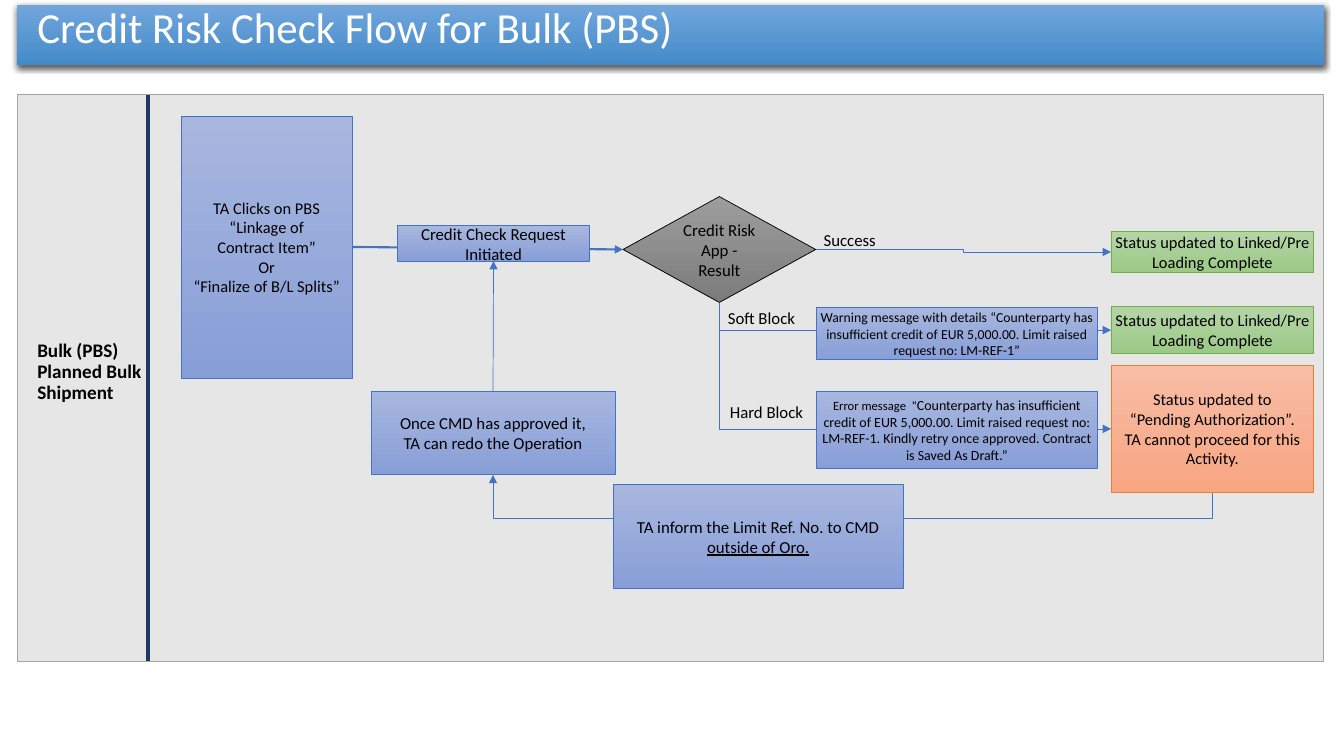
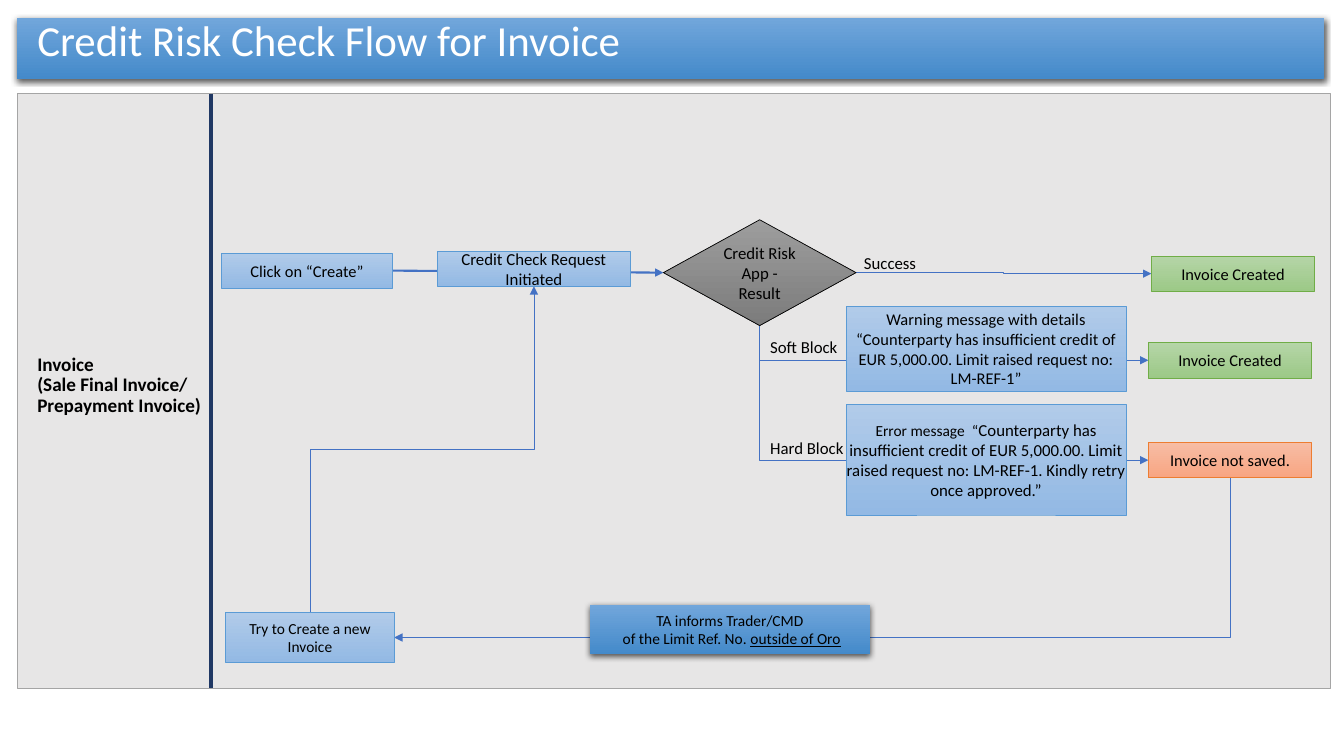
"""Build two credit risk check flow slides, placed on a grid of tenth-inch cells."""
from pptx import Presentation
from pptx.dml.color import RGBColor
from pptx.enum.shapes import MSO_CONNECTOR as LINK, MSO_SHAPE as SHAPE
from pptx.enum.text import MSO_ANCHOR as ANCHOR, PP_ALIGN as ALIGN
from pptx.oxml import parse_xml
from pptx.oxml.ns import nsdecls, qn
from pptx.util import Inches, Pt

CELL = Inches(0.1)
FONT = "Calibri"
BLUE, NAVY = "4472C4", "203864"
LOOKS = {
    "title": ("71A6DB", "448ACA", None),
    "panel": ("E7E6E6", "E7E6E6", "A5A5A5"),
    "step": ("A8B7DF", "889ED7", BLUE),
    "sky": ("B1CBE9", "93B9E4", "5B9BD5"),
    "good": ("B5D5A7", "9CC987", "70AD47"),
    "bad": ("F7BDA5", "F8A582", "ED7D31"),
    "test": ("9D9D9D", "7C7C7C", "000000"),
    "note": ("71A6DB", "448ACA", None),
}
SHADE = (
    f'<a:outerShdw {nsdecls("a")} blurRad="57150" dist="19050" dir="5400000" '
    'algn="ctr" rotWithShape="0"><a:srgbClr val="000000">'
    '<a:alpha val="63000"/></a:srgbClr></a:outerShdw>'
)
TOP, LEFT, BASE, RIGHT = range(4)

WARN = ("Warning message with details “Counterparty has insufficient credit of "
        "EUR 5,000.00. Limit raised request no: LM-REF-1”")
ERROR = ("~Error message  “|Counterparty has insufficient credit of EUR 5,000.00. "
         "Limit raised request no: LM-REF-1. Kindly retry once approved.")
LINKED = "Status updated to Linked/Pre Loading Complete"
CHECK = "Credit Check Request Initiated"
TEST = "Credit Risk App - Result"

PAGES = [
    {
        "title": ("Credit Risk Check Flow for Bulk (PBS)", 0.5),
        "panel": ("Bulk (PBS)\nPlanned Bulk\nShipment", (1.7, 9.4, 129.6, 56.2)),
        "bar": 14.7,
        "boxes": {
            "start": ("step", (18, 11.5, 16.9, 26), 11.7,
                      "TA Clicks on PBS\n“Linkage of\nContract Item”\nOr\n“Finalize of B/L Splits”"),
            "check": ("step", (39.4, 22.4, 19.1, 3.5), 12, CHECK),
            "test": ("test", (61.8, 19.5, 19.1, 10.5), 12, TEST),
            "done": ("good", (110.2, 23, 20.1, 4), 11.7, LINKED),
            "soft": ("good", (110.2, 30.4, 20.1, 4.7), 11.7, LINKED),
            "hard": ("bad", (110.2, 36.2, 20.1, 12.7), 11.7,
                     "Status updated to\n“Pending Authorization”.\n"
                     "TA cannot proceed for this Activity."),
            "redo": ("step", (36.8, 38.8, 24.2, 8.3), 12,
                     "Once CMD has approved it,\nTA can redo the Operation"),
            "tell": ("step", (60.8, 48.1, 28.8, 10.3), 12,
                     "TA inform the Limit Ref. No. to CMD |_outside of Oro."),
            "warn": ("step", (81, 30.5, 27.8, 5.2), 9.8, WARN),
            "error": ("step", (81, 38.8, 27.8, 7.7), 10,
                      ERROR + " Contract is Saved As Draft.”"),
        },
        "tags": {"Success": (80.7, 22.3), "Soft Block": (71.2, 30), "Hard Block": (71.4, 39.4)},
        "back": [
            ("hard", BASE, "redo", BASE, "bentConnector3", 90, "H", -140100),
            ("redo", TOP, "check", BASE, "line", 0, "", None),
        ],
    },
    {
        "title": ("Credit Risk Check Flow for Invoice", 1.8),
        "panel": ("Invoice\n(Sale Final Invoice/\nPrepayment Invoice)", (1.7, 9.3, 130.3, 59)),
        "bar": 20.9,
        "boxes": {
            "start": ("sky", (22, 25.1, 16.9, 3.5), 11.7, "Click on “Create”"),
            "check": ("sky", (43.4, 24.9, 19.1, 3.5), 12, CHECK),
            "test": ("test", (65.8, 21.8, 19.1, 10.5), 12, TEST),
            "done": ("good", (114.2, 25.4, 16.2, 3.5), 11.7, "Invoice Created"),
            "soft": ("good", (113.9, 34, 16.2, 3.5), 11.7, "Invoice Created"),
            "hard": ("bad", (113.9, 43.9, 16.2, 3.5), 11.7, "Invoice not saved."),
            "warn": ("sky", (83.9, 30.4, 27.8, 8.4), 11.7, WARN),
            "error": ("sky", (83.9, 40.1, 27.8, 11), 12, ERROR + "”"),
            "tell": ("note", (58.5, 60, 27.8, 4.9), 11,
                     "TA informs Trader/CMD\n of the Limit Ref. No. |_outside of Oro"),
            "redo": ("sky", (22.4, 60.8, 16.7, 4.9), 11, "Try to Create a new Invoice"),
        },
        "tags": {"Success": (84.7, 24.6), "Soft Block": (75.4, 32.9), "Hard Block": (75.4, 42.9)},
        "back": [
            ("hard", BASE, "redo", RIGHT, "bentConnector2", 90, "", None),
            ("redo", TOP, "check", BASE, "bentConnector3", 90, "HV", 50000),
        ],
    },
]
LINKS = [
    ("start", RIGHT, "test", LEFT, "line", 0, "", None),
    ("test", RIGHT, "done", LEFT, "bentConnector3", 0, "", None),
    ("test", BASE, "soft", LEFT, "bentConnector2", 270, "H", None),
    ("test", BASE, "hard", LEFT, "bentConnector2", 270, "H", None),
]


def tint(code):
    return RGBColor.from_string(code)


def draw(page, look, at, size, text):
    form = SHAPE.DIAMOND if look == "test" else SHAPE.RECTANGLE
    box = page.shapes.add_shape(form, *[round(n * CELL) for n in at])
    high, low, edge = LOOKS[look]
    box.shadow.inherit = False
    if high == low:
        box.fill.solid()
        box.fill.fore_color.rgb = tint(high)
    else:
        box.fill.gradient()
        box.fill.gradient_angle = 270
        for stop, code in zip(box.fill.gradient_stops, (high, low)):
            stop.color.rgb = tint(code)
    if edge:
        box.line.color.rgb = tint(edge)
        box.line.width = Pt(0.5)
    else:
        box.line.fill.background()
        box._element.spPr.find(qn("a:effectLst")).append(parse_xml(SHADE))
    frame = box.text_frame
    frame.word_wrap = True
    frame.vertical_anchor = ANCHOR.MIDDLE
    head = look in ("title", "panel")
    if look != "test":
        pads = (0.2, 0.05, 0.2, 0.16) if head else (0, 0, 0, 0)
        (frame.margin_left, frame.margin_top,
         frame.margin_right, frame.margin_bottom) = [Inches(n) for n in pads]
    frame.text = text.replace("|", "").replace("_", "").replace("~", "")
    for para, line in zip(frame.paragraphs, text.split("\n")):
        para.alignment = ALIGN.LEFT if head else ALIGN.CENTER
        if head:
            para.line_spacing = 0.9
        para.clear()
        for part in line.split("|"):
            run = para.add_run()
            run.text = part.lstrip("_~")
            run.font.name = FONT
            run.font.size = Pt(size - 1 if part.startswith("~") else size)
            run.font.color.rgb = tint("FFFFFF" if look == "title" else "000000")
            run.font.bold = look == "panel"
            if part.startswith("_"):
                run.font.underline = True
    return box


deck = Presentation()
deck.slide_width, deck.slide_height = Inches(13.33), Inches(7.5)

for plan in PAGES:
    page = deck.slides.add_slide(deck.slide_layouts[6])
    words, area = plan["panel"]
    draw(page, "panel", area, 13.7, words)
    words, top = plan["title"]
    draw(page, "title", (1.7, top, 129.6, 6), 30.6, words)

    tree = page.shapes._spTree
    floor = len(tree)
    x, y, end = [round(n * CELL) for n in (plan["bar"], area[1], area[1] + area[3])]
    bar = page.shapes.add_connector(LINK.STRAIGHT, x, y, x, end)
    bar.line.color.rgb = tint(NAVY)
    bar.line.width = Pt(3)
    bar._element.spPr.append(parse_xml(f'<a:effectLst {nsdecls("a")}/>'))

    boxes = {name: draw(page, *item) for name, item in plan["boxes"].items()}

    for word, (x, y) in plan["tags"].items():
        tag = page.shapes.add_textbox(*[round(n * CELL) for n in (x, y, 10.9, 3)])
        tag.text_frame.word_wrap = True
        tag.text_frame.text = word
        font = tag.text_frame.paragraphs[0].runs[0].font
        font.name, font.size = FONT, Pt(12)
        font.color.rgb = tint("000000")

    for tail, out, goal, into, form, turn, flip, bend in LINKS + plan["back"]:
        kind = LINK.STRAIGHT if form == "line" else LINK.ELBOW
        link = page.shapes.add_connector(kind, 0, 0, 0, 0)
        link.begin_connect(boxes[tail], out)
        link.end_connect(boxes[goal], into)
        link.line.color.rgb = tint(BLUE)
        link.line.width = Pt(1.5 if tail == "start" else 0.5)
        props = link._element.spPr
        props.find(qn("a:ln")).append(parse_xml(f'<a:tailEnd {nsdecls("a")} type="triangle"/>'))
        props.append(parse_xml(f'<a:effectLst {nsdecls("a")}/>'))
        if turn:
            wide, tall = link.width, link.height
            link.left += (wide - tall) // 2
            link.top += (tall - wide) // 2
            link.width, link.height = tall, wide
            frame = props.find(qn("a:xfrm"))
            frame.set("rot", str(turn * 60000))
            for side in "HV":
                frame.set("flip" + side, str(int(side in flip)))
        shape = props.find(qn("a:prstGeom"))
        shape.set("prst", form)
        if bend is not None:
            shape.find(qn("a:avLst")).append(
                parse_xml(f'<a:gd {nsdecls("a")} name="adj1" fmla="val {bend}"/>'))
        tree.remove(link._element)
        tree.insert(floor, link._element)

deck.save("out.pptx")
